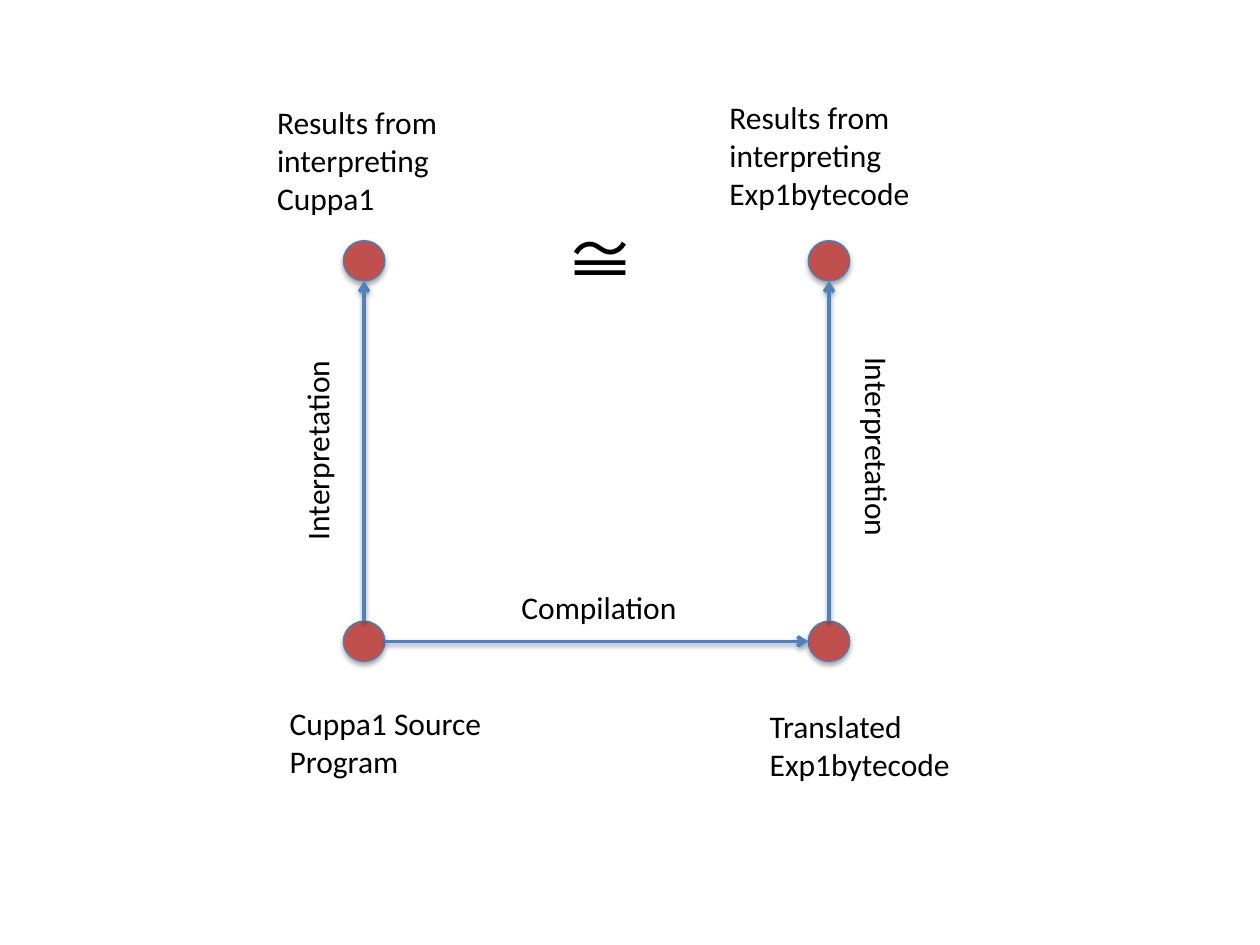
from typing import NamedTuple

from lxml.etree import SubElement
from pptx import Presentation
from pptx.dml.color import RGBColor
from pptx.enum.shapes import MSO_CONNECTOR, MSO_SHAPE
from pptx.enum.text import MSO_AUTO_SIZE
from pptx.oxml.ns import qn
from pptx.util import Inches, Pt

LEFT, RIGHT = 2.89, 6.58  # node centres
TOP, BOTTOM = 2.07, 5.09
NODE_W, NODE_H = 0.33, 0.32
RX, RY = NODE_W / 2, NODE_H / 2


class Arrow(NamedTuple):
    x1: float
    y1: float
    x2: float
    y2: float


class Label(NamedTuple):
    lines: tuple[str, ...]
    x: float
    y: float
    w: float
    h: float
    rotation: int = 0
    size: int = 18
    font: str = "Calibri"


NODES = [(x, y) for x in (LEFT, RIGHT) for y in (TOP, BOTTOM)]
ARROWS = [
    Arrow(LEFT + RX, BOTTOM, RIGHT - RX, BOTTOM),
    *(Arrow(x, BOTTOM - RY, x, TOP + RY) for x in (LEFT, RIGHT)),
]
LABELS = [
    Label(("Cuppa1 Source", "Program"), 2.2, 5.54, 1.74, 0.71),
    Label(("Translated", "Exp1bytecode"), 6.01, 5.56, 1.65, 0.71),
    Label(("Compilation",), 4.04, 4.62, 1.45, 0.4),
    Label(("Interpretation",), 1.69, 3.36, 1.65, 0.4, rotation=270),
    Label(("Interpretation",), 6.14, 3.36, 1.65, 0.4, rotation=90),
    Label(("Results from", "interpreting", "Cuppa1"), 2.1, 0.77, 1.49, 1.01),
    Label(("Results from", "interpreting", "Exp1bytecode"), 5.69, 0.73, 1.65, 1.01),
    Label(("≅",), 4.39, 1.65, 0.48, 0.77, size=40, font="Noto Sans CJK JP"),
]


def rgb(value: str) -> RGBColor:
    return RGBColor.from_string(value)


def add_shadow(s, distance: float, opacity: int) -> None:
    """Drop a soft black shadow straight down."""
    effects = s._element.spPr.get_or_add_effectLst() if hasattr(
        s._element.spPr, "get_or_add_effectLst"
    ) else SubElement(s._element.spPr, qn("a:effectLst"))
    shadow = SubElement(
        effects, qn("a:outerShdw"), blurRad=str(Pt(3.1)), dist=str(Pt(distance)),
        dir="5400000", rotWithShape="0",
    )
    black = SubElement(shadow, qn("a:srgbClr"), val="000000")
    SubElement(black, qn("a:alpha"), val=str(opacity * 1000))


def add_node(slide, x: float, y: float) -> None:
    s = slide.shapes.add_shape(
        MSO_SHAPE.OVAL, Inches(x - RX), Inches(y - RY), Inches(NODE_W), Inches(NODE_H)
    )
    s.fill.solid()
    s.fill.fore_color.rgb = rgb("C0504D")
    s.line.color.rgb = rgb("4B7EBC")
    s.line.width = Pt(0.75)
    add_shadow(s, 1.8, 35)


def add_arrow(slide, arrow: Arrow) -> None:
    s = slide.shapes.add_connector(MSO_CONNECTOR.STRAIGHT, *map(Inches, arrow))
    s.line.color.rgb = rgb("4F81BD")
    s.line.width = Pt(2)
    SubElement(s.line._get_or_add_ln(), qn("a:tailEnd"), type="arrow")
    add_shadow(s, 1.6, 38)


def add_label(slide, label: Label) -> None:
    s = slide.shapes.add_textbox(*map(Inches, (label.x, label.y, label.w, label.h)))
    s.rotation = label.rotation
    tf = s.text_frame
    tf.word_wrap = False
    tf.auto_size = MSO_AUTO_SIZE.SHAPE_TO_FIT_TEXT
    tf.text = "\n".join(label.lines)
    for p in tf.paragraphs:
        p.font.size = Pt(label.size)
        p.font.color.rgb = rgb("000000")
        p.font.name = label.font
        # Symbols take the East Asian font
        SubElement(p._p.pPr.find(qn("a:defRPr")), qn("a:ea"), typeface=label.font)


def main() -> None:
    prs = Presentation()
    prs.slide_width, prs.slide_height = Inches(10), Inches(7.5)
    slide = prs.slides.add_slide(prs.slide_layouts[6])
    for x, y in NODES:
        add_node(slide, x, y)
    for arrow in ARROWS:
        add_arrow(slide, arrow)
    for label in LABELS:
        add_label(slide, label)
    prs.save("out.pptx")


if __name__ == "__main__":
    main()
